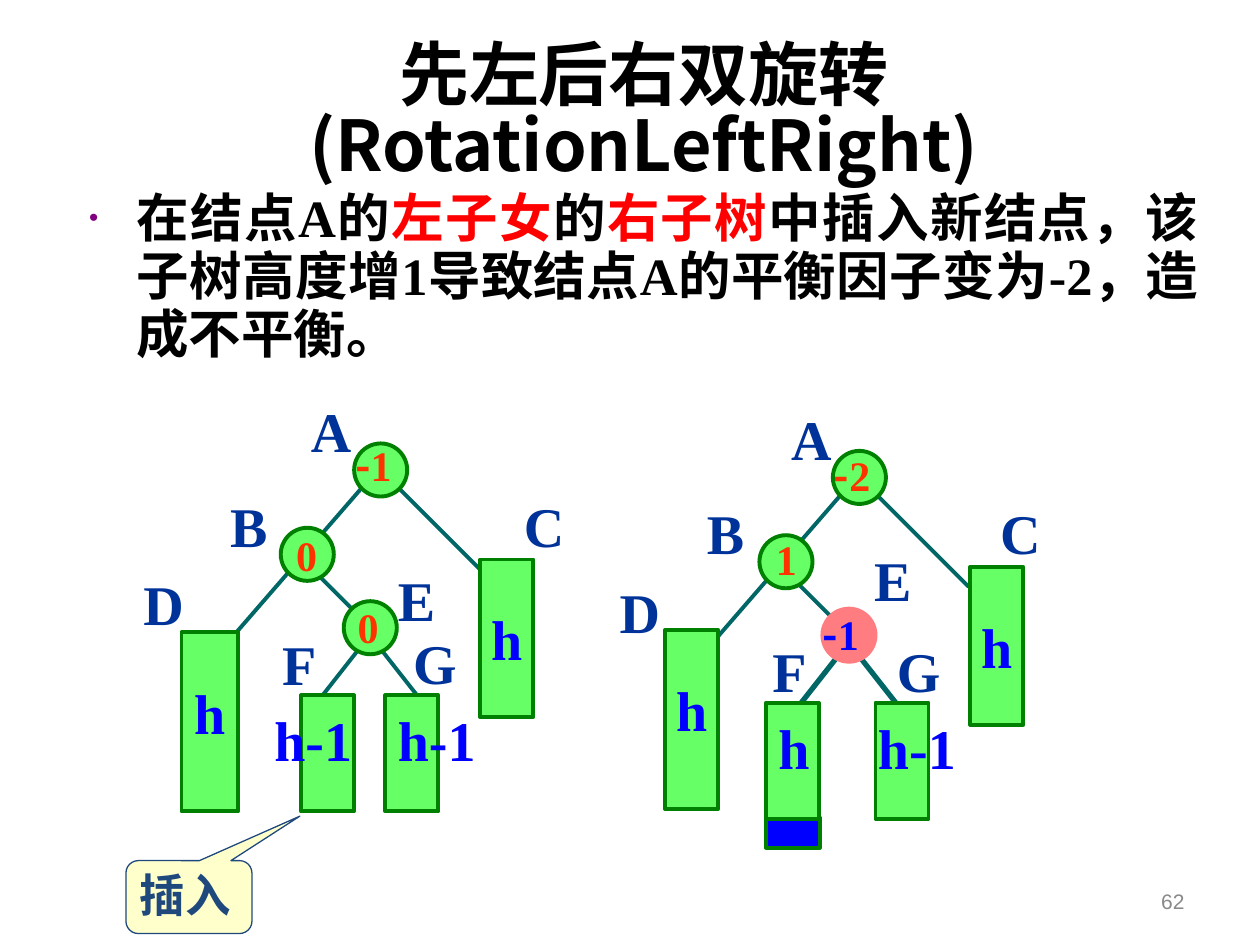
from lxml.etree import SubElement
from pptx import Presentation
from pptx.dml.color import RGBColor
from pptx.enum.shapes import MSO_CONNECTOR, MSO_SHAPE
from pptx.enum.text import MSO_ANCHOR, MSO_AUTO_SIZE, PP_ALIGN
from pptx.oxml.ns import qn
from pptx.util import Cm, Pt

COLORS = {
    "black": "000000", "red": "FF0000", "purple": "800080", "grey": "898989",
    "navy": "1F497D", "cream": "FFFFCC", "edge": "006666", "green": "66FF66",
    "outline": "008000", "blue": "0000FF", "label": "003399",
    "orange": "FF3300", "pink": "FF7C80",
}
SERIF, SANS, CHINESE = "Times New Roman", "Noto Sans CJK JP", "Noto Sans CJK SC"

NODE_SIZE = 1.07
LABEL_WIDTHS = {"A": 1.32, "B": 1.24, "C": 1.32, "D": 1.32, "E": 1.24,
                "F": 1.19, "G": 1.37, "h": 1.14, "h-1": 2.08}

# Nodes and edges of the left tree; the right tree is the same, shifted.
NODES = {"A": (7.14, 8.94), "B": (5.66, 10.64), "E": (6.93, 12.12)}
EDGES = {
    "AC": (7.98, 9.78, 9.88, 11.68),
    "AD": (7.34, 9.78, 4.39, 13.18),
    "BE": (6.3, 11.48, 7.57, 12.75),
    "EF": (7.34, 12.95, 6.5, 14.02),
    "EG": (7.57, 12.95, 8.41, 14.02),
}

BEFORE = {
    "shift": (0, 0),
    "heavy_edges": (),
    "pink_nodes": (),
    "subtrees": [(9.68, 11.28, 1.07, 3.18, "h", 1), (3.66, 12.75, 1.14, 3.61, "h", 0.6),
                 (6.07, 14.02, 1.07, 2.34, "", 1), (7.77, 14.02, 1.07, 2.34, "", 1)],
    "labels": [("A", 6.02, 7.87), ("B", 4.39, 9.78), ("C", 10.31, 9.78),
               ("D", 2.64, 11.35), ("E", 7.77, 11.28), ("F", 5.44, 12.57),
               ("G", 8.08, 12.55), ("h-1", 5.28, 14.1), ("h-1", 7.77, 14.1)],
    "factors": [("-1", 6.91, 8.74, "orange"), ("0", 5.72, 10.54, "orange"),
                ("0", 6.96, 12.01, "orange")],
}
AFTER = {
    "shift": (9.65, 0.15),
    "heavy_edges": ("EF", "EG"),
    "pink_nodes": ("E",),
    "subtrees": [(19.56, 11.43, 1.07, 3.18, "h", 1), (13.41, 12.7, 1.07, 3.61, "h", 0.6),
                 (15.44, 14.17, 1.07, 2.34, "", 1), (17.65, 14.17, 1.07, 2.34, "", 1)],
    "labels": [("A", 15.7, 8.03), ("B", 14, 9.93), ("C", 19.91, 9.93),
               ("D", 12.24, 11.51), ("E", 17.37, 10.87), ("F", 15.32, 12.7),
               ("G", 17.83, 12.7), ("h", 15.44, 14.25), ("h-1", 17.45, 14.25)],
    "factors": [("-2", 16.56, 8.94, "orange"), ("1", 15.39, 10.64, "orange"),
                ("-1", 16.33, 12.14, "blue")],
}


def color(name):
    return RGBColor.from_string(COLORS[name])


def add_run(paragraph, text, size, color_name, font=SERIF, bold=True, east_asian=CHINESE):
    run = paragraph.add_run()
    run.text = text
    run.font.size = Pt(size)
    run.font.bold = bold
    run.font.name = font
    run.font.color.rgb = color(color_name)
    SubElement(run.font._element, qn("a:ea"), typeface=east_asian)


def add_text_box(slide, left, top, width, height, wrap=True,
                 align=PP_ALIGN.LEFT, anchor=MSO_ANCHOR.TOP):
    """Add an empty text box and return its first paragraph."""
    box = slide.shapes.add_textbox(Cm(left), Cm(top), Cm(width), Cm(height))
    frame = box.text_frame
    frame.word_wrap = wrap
    frame.auto_size = MSO_AUTO_SIZE.NONE
    frame.vertical_anchor = anchor
    frame.paragraphs[0].alignment = align
    return frame.paragraphs[0]


def add_box(slide, kind, left, top, width, height, fill, line="outline", line_width=2.25):
    shape = slide.shapes.add_shape(kind, Cm(left), Cm(top), Cm(width), Cm(height))
    shape.shadow.inherit = False
    shape.fill.solid()
    shape.fill.fore_color.rgb = color(fill)
    shape.line.color.rgb = color(line)
    shape.line.width = Pt(line_width)
    return shape


def add_edge(slide, start_x, start_y, end_x, end_y, width):
    edge = slide.shapes.add_connector(
        MSO_CONNECTOR.STRAIGHT, Cm(start_x), Cm(start_y), Cm(end_x), Cm(end_y))
    edge.line.color.rgb = color("edge")
    edge.line.width = Pt(width)
    SubElement(edge._element.spPr, qn("a:effectLst"))


def add_subtree(slide, left, top, width, height, text, spacing):
    shape = add_box(slide, MSO_SHAPE.RECTANGLE, left, top, width, height, "green")
    if text:
        frame = shape.text_frame
        frame.word_wrap = False
        frame.vertical_anchor = MSO_ANCHOR.MIDDLE
        paragraph = frame.paragraphs[0]
        paragraph.alignment = PP_ALIGN.CENTER
        paragraph.line_spacing = spacing
        add_run(paragraph, text, 32, "blue")


def add_label(slide, text, left, top):
    paragraph = add_text_box(slide, left, top, LABEL_WIDTHS[text], 1.63, wrap=False)
    add_run(paragraph, text, 32, "blue" if text.startswith("h") else "label")


def add_balance_factor(slide, text, left, top, color_name):
    width = 1.42 if text.startswith("-") else 0.91
    paragraph = add_text_box(slide, left, top, width, 1.27, wrap=False)
    for character in text:
        font = CHINESE if character == "-" else SERIF
        add_run(paragraph, character, 24, color_name, font)


def add_tree(slide, tree):
    shift_x, shift_y = tree["shift"]
    for name, (x1, y1, x2, y2) in EDGES.items():
        width = 3 if name in tree["heavy_edges"] else 2.25
        add_edge(slide, x1 + shift_x, y1 + shift_y, x2 + shift_x, y2 + shift_y, width)
    for subtree in tree["subtrees"]:
        add_subtree(slide, *subtree)
    for name, (left, top) in NODES.items():
        fill, line = ("pink", "pink") if name in tree["pink_nodes"] else ("green", "outline")
        add_box(slide, MSO_SHAPE.OVAL, left + shift_x, top + shift_y,
                NODE_SIZE, NODE_SIZE, fill, line)
    for label in tree["labels"]:
        add_label(slide, *label)
    for factor in tree["factors"]:
        add_balance_factor(slide, *factor)


def add_title(slide):
    paragraph = add_text_box(slide, 1.55, 0.71, 22.86, 3.2,
                             align=PP_ALIGN.CENTER, anchor=MSO_ANCHOR.MIDDLE)
    paragraph.line_spacing = 0.85
    add_run(paragraph, "先左后右双旋转 (RotationLeftRight)", 40, "black", SANS, east_asian=SANS)


def add_explanation(slide):
    paragraph = add_text_box(slide, 1.55, 3.73, 22.86, 12.09, align=PP_ALIGN.JUSTIFY)
    paragraph.line_spacing = 0.92
    properties = paragraph._p.get_or_add_pPr()
    properties.set("marL", str(Cm(0.95)))
    properties.set("indent", str(Cm(-0.95)))
    bullet_color = SubElement(properties, qn("a:buClr"))
    SubElement(bullet_color, qn("a:srgbClr"), val=COLORS["purple"])
    SubElement(properties, qn("a:buSzPct"), val="50000")
    SubElement(properties, qn("a:buFont"), typeface="Arial")
    SubElement(properties, qn("a:buChar"), char="•")
    for text, color_name in (
        ("在结点A的", "black"), ("左子女", "red"), ("的", "black"), ("右子树", "red"),
        ("中插入新结点，该子树高度增1导致结点A的平衡因子变为-2，造成不平衡。", "black"),
    ):
        add_run(paragraph, text, 30, color_name)


def add_callout(slide):
    callout = add_box(slide, MSO_SHAPE.ROUNDED_RECTANGULAR_CALLOUT,
                      2.54, 17.35, 2.54, 1.47, "cream", "navy", 0.75)
    for index, value in enumerate((0.88, -1.11, 0.17)):
        callout.adjustments[index] = value
    paragraph = add_text_box(slide, 2.57, 17.35, 2.51, 1.37)
    add_run(paragraph, "插入", 26, "navy")


def add_page_number(slide):
    paragraph = add_text_box(slide, 18.21, 17.65, 5.92, 1.02,
                             align=PP_ALIGN.RIGHT, anchor=MSO_ANCHOR.MIDDLE)
    add_run(paragraph, "62", 12, "grey", "Arial", bold=False)


def main():
    presentation = Presentation()
    presentation.slide_width, presentation.slide_height = Cm(25.4), Cm(19.05)
    slide = presentation.slides.add_slide(presentation.slide_layouts[6])
    add_title(slide)
    add_explanation(slide)
    add_page_number(slide)
    add_callout(slide)
    add_tree(slide, BEFORE)
    add_box(slide, MSO_SHAPE.RECTANGLE, 15.44, 16.48, 1.09, 0.61, "blue")
    add_tree(slide, AFTER)
    presentation.save("out.pptx")


if __name__ == "__main__":
    main()
